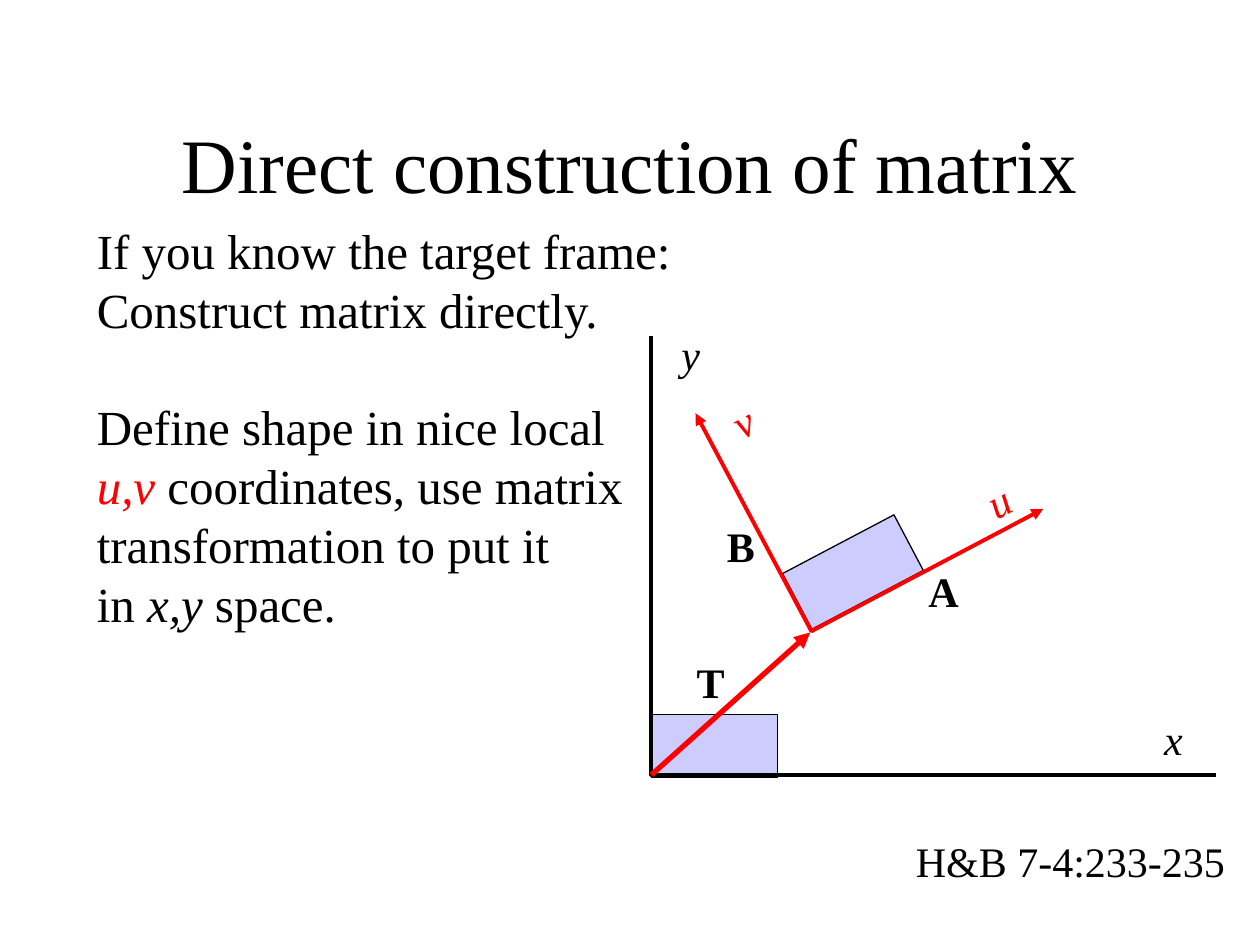
from pptx import Presentation
from pptx.dml.color import RGBColor
from pptx.enum.shapes import MSO_CONNECTOR, MSO_SHAPE
from pptx.enum.text import MSO_ANCHOR, MSO_AUTO_SIZE, PP_ALIGN
from pptx.oxml.ns import qn
from pptx.util import Inches, Pt
from lxml import etree

BLACK = RGBColor(0, 0, 0)
RED = RGBColor(255, 0, 0)
LILAC = RGBColor(204, 204, 255)
FONT = "Times New Roman"
RECT = MSO_SHAPE.RECTANGLE
STRAIGHT = MSO_CONNECTOR.STRAIGHT
MIDDLE = MSO_ANCHOR.MIDDLE
CENTER = PP_ALIGN.CENTER
GROW = MSO_AUTO_SIZE.SHAPE_TO_FIT_TEXT
TILT = 332.2
ORIGIN = (5.17, 6.15)
CORNER = (6.44, 5.01)

BODY = [
    [("If you know the target frame:", BLACK, False)],
    [("Construct matrix directly.", BLACK, False)],
    [("Define shape in nice local", BLACK, False)],
    [("u,v ", RED, True), ("coordinates, use matrix", BLACK, False)],
    [("transformation to put it", BLACK, False)],
    [("in ", BLACK, False), ("x,y", BLACK, True), (" space.", BLACK, False)],
]
LABELS = [
    ("x", 9.14, 5.61, 0.35, BLACK, 0),
    ("y", 5.31, 2.56, 0.35, BLACK, 0),
    ("v", 5.72, 3.09, 0.35, RED, TILT),
    ("u", 7.74, 3.72, 0.37, RED, TILT),
]
NAMES = [("A", 7.27, 4.44, 0.44), ("B", 5.67, 4.08, 0.42), ("T", 5.43, 5.16, 0.42)]


def style(run, size, color=BLACK, bold=False, italic=False):
    font = run.font
    font.name = FONT
    font.size = Pt(size)
    font.color.rgb = color
    font.bold = bold
    font.italic = italic


def add_title(slide, text):
    title = slide.shapes.title
    title.left, title.top = Inches(0.75), Inches(0.67)
    title.width, title.height = Inches(8.5), Inches(1.25)
    frame = title.text_frame
    frame.text = text
    frame.vertical_anchor = MIDDLE
    frame.paragraphs[0].alignment = CENTER
    style(frame.paragraphs[0].runs[0], 44)


def add_box(slide, left, top, width, height):
    box = slide.shapes.add_textbox(
        Inches(left), Inches(top), Inches(width), Inches(height))
    box.text_frame.word_wrap = False
    box.text_frame.auto_size = GROW
    return box


def add_label(slide, text, left, top, width, color=BLACK, turn=0, bold=False, italic=False):
    box = add_box(slide, left, top, width, 0.5)
    box.rotation = turn
    box.text_frame.text = text
    style(box.text_frame.paragraphs[0].runs[0], 24, color, bold, italic)


def add_body(slide):
    frame = add_box(slide, 0.67, 1.7, 4.95, 3.4).text_frame
    for index, parts in enumerate(BODY):
        line = frame.add_paragraph() if index else frame.paragraphs[0]
        for text, color, italic in parts:
            run = line.add_run()
            run.text = text
            style(run, 28, color, italic=italic)
    frame.paragraphs[2].space_before = Pt(33.6)


def add_block(slide, left, top, turn=0):
    block = slide.shapes.add_shape(
        RECT, Inches(left), Inches(top), Inches(1), Inches(0.5))
    block.rotation = turn
    block.shadow.inherit = False
    block.fill.solid()
    block.fill.fore_color.rgb = LILAC
    block.line.color.rgb = BLACK
    block.line.width = Pt(0.75)


def set_line(shape, color, width, ends=()):
    shape.line.color.rgb = color
    shape.line.width = Pt(width)
    stroke = shape.line._get_or_add_ln()
    for end in ends:
        etree.SubElement(stroke, qn("a:" + end), type="triangle")


def add_path(slide, points, color, ends=()):
    spots = [(Inches(x), Inches(y)) for x, y in points]
    pen = slide.shapes.build_freeform(*spots[0])
    pen.add_line_segments(spots[1:], close=False)
    path = pen.convert_to_shape()
    path.shadow.inherit = False
    path.fill.background()
    set_line(path, color, 2.25, ends)


def add_arrow(slide, start, end):
    points = [Inches(n) for n in (*start, *end)]
    arrow = slide.shapes.add_connector(STRAIGHT, *points)
    set_line(arrow, RED, 3, ["tailEnd"])
    etree.SubElement(arrow._element.spPr, qn("a:effectLst"))


def main():
    deck = Presentation()
    deck.slide_width, deck.slide_height = Inches(10), Inches(7.5)
    slide = deck.slides.add_slide(deck.slide_layouts[5])
    add_title(slide, "Direct construction of matrix")
    add_block(slide, 6.27, 4.29, TILT)
    add_block(slide, 5.17, 5.67)
    add_path(slide, [(5.17, 2.67), ORIGIN, (9.65, 6.15)], BLACK)
    add_path(slide, [(5.52, 3.28), CORNER, (8.28, 4.04)], RED, ["headEnd", "tailEnd"])
    add_arrow(slide, ORIGIN, (6.43, 5.02))
    for label in LABELS:
        add_label(slide, *label, italic=True)
    for name in NAMES:
        add_label(slide, *name, bold=True)
    add_body(slide)
    add_label(slide, "H&B 7-4:233-235", 7.17, 6.58, 2.68)
    deck.save("out.pptx")


if __name__ == "__main__":
    main()
